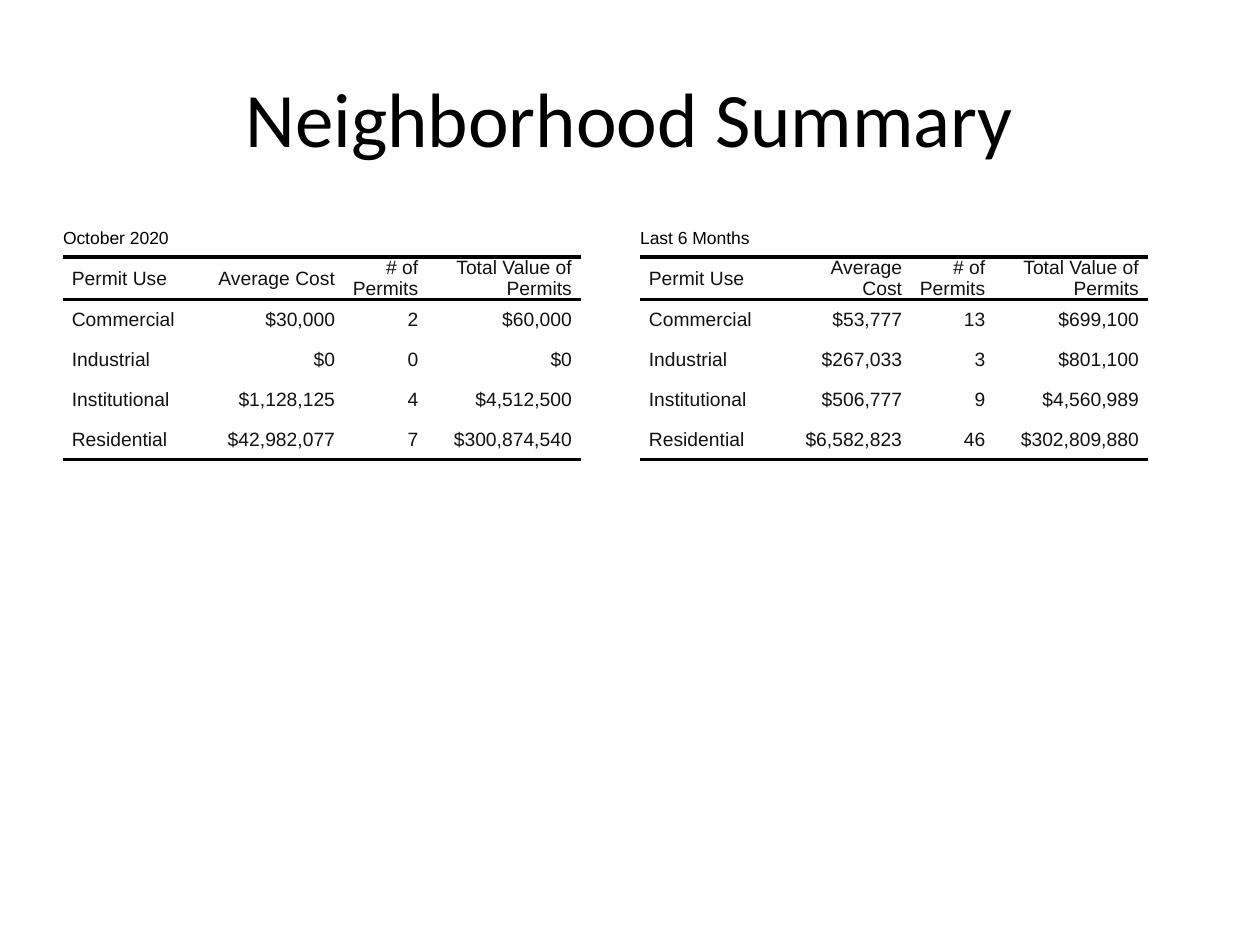
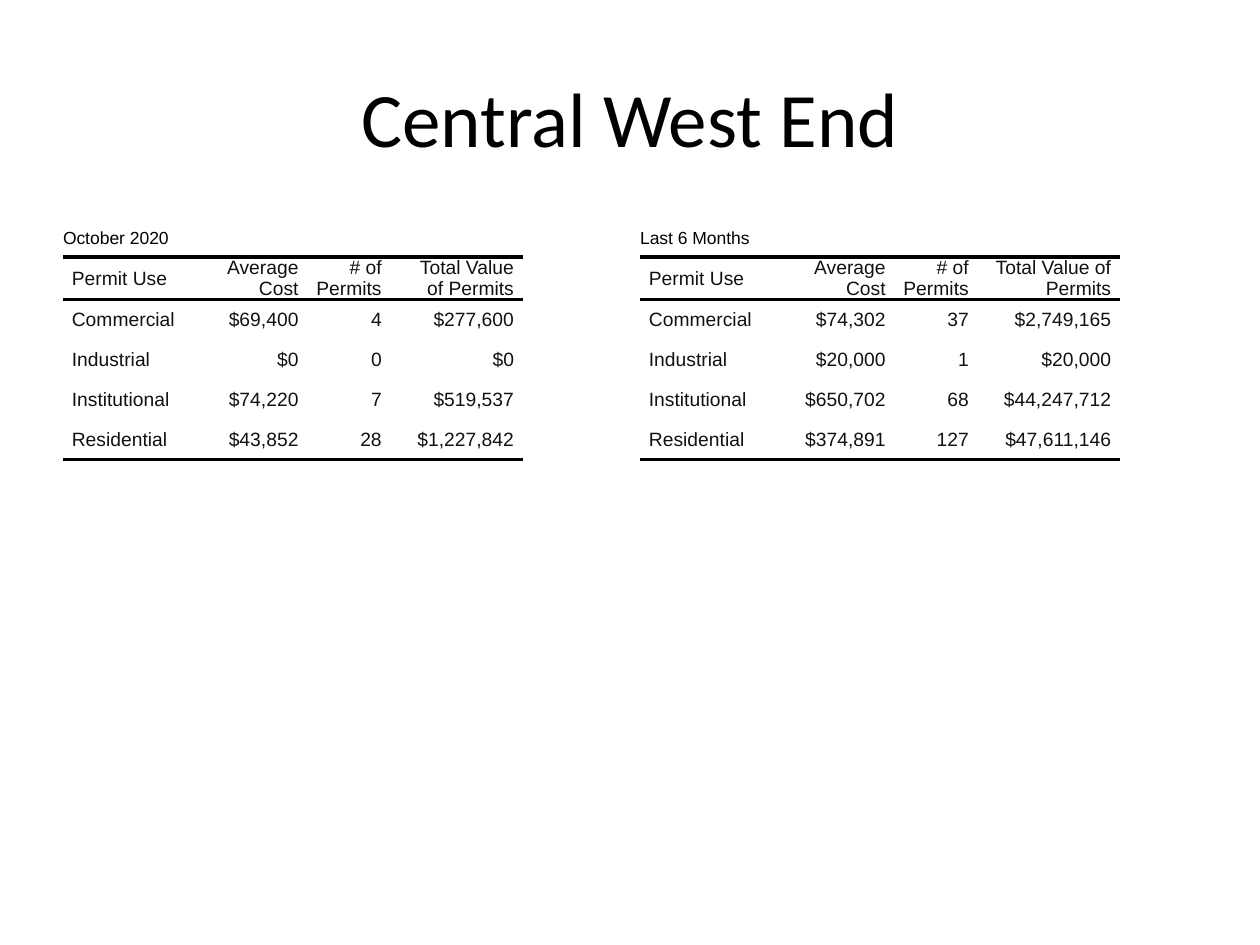
from pptx import Presentation
from pptx.dml.color import RGBColor
from pptx.enum.text import MSO_ANCHOR as Anchor, PP_ALIGN as Align
from pptx.oxml.ns import qn
from pptx.util import Inches, Pt
from lxml.etree import SubElement

BLACK = RGBColor(0x00, 0x00, 0x00)
INK = RGBColor(0x11, 0x11, 0x11)
TITLE_FONT, TABLE_FONT = "Calibri", "Arial"
PLAIN_TABLE_STYLE = "{2D5ABB26-0587-4C30-8999-92F81FD0307C}"

HEADINGS = ["Permit Use", "Average Cost", "# of Permits", "Total Value of Permits"]
PERMIT_USES = ["Commercial", "Industrial", "Institutional", "Residential"]
ROW_HEIGHTS = [0.29, 0.29, 0.32, 0.31, 0.32, 0.32]
USE_WIDTH, COUNT_WIDTH = 1.1, 0.66
PERIODS = [("October 2020", 0.5), ("Last 6 Months", 5.08)]

# Per slide: title, then for each period the cost and value column widths and the figures
SUMMARIES = [
    ("Neighborhood Summary", [
        (1.13, 1.22, [("$30,000", "2", "$60,000"),
                      ("$0", "0", "$0"),
                      ("$1,128,125", "4", "$4,512,500"),
                      ("$42,982,077", "7", "$300,874,540")]),
        (1.05, 1.22, [("$53,777", "13", "$699,100"),
                      ("$267,033", "3", "$801,100"),
                      ("$506,777", "9", "$4,560,989"),
                      ("$6,582,823", "46", "$302,809,880")]),
    ]),
    ("Central West End", [
        (0.84, 1.05, [("$69,400", "4", "$277,600"),
                      ("$0", "0", "$0"),
                      ("$74,220", "7", "$519,537"),
                      ("$43,852", "28", "$1,227,842")]),
        (0.92, 1.13, [("$74,302", "37", "$2,749,165"),
                      ("$20,000", "1", "$20,000"),
                      ("$650,702", "68", "$44,247,712"),
                      ("$374,891", "127", "$47,611,146")]),
    ]),
]


class PermitDeck:
    def __init__(self):
        self.prs = Presentation()
        self.prs.slide_width, self.prs.slide_height = Inches(10), Inches(7.5)
        self.slide = None

    def style_text(self, paragraph, font, size, color, align):
        paragraph.alignment = align
        for run in paragraph.runs:
            run.font.name, run.font.size = font, Pt(size)
            run.font.color.rgb = color

    def add_slide(self, heading):
        self.slide = self.prs.slides.add_slide(self.prs.slide_layouts[5])
        title = self.slide.shapes.title
        title.left, title.top = Inches(0.5), Inches(0.3)
        title.width, title.height = Inches(9), Inches(1.25)
        title.text_frame.text = heading
        title.text_frame.vertical_anchor = Anchor.MIDDLE
        self.style_text(title.text_frame.paragraphs[0], TITLE_FONT, 44, BLACK, Align.CENTER)

    def add_rule(self, cell, side):
        rule = SubElement(cell._tc.get_or_add_tcPr(), qn(f"a:{side}"), w=str(Pt(2)))
        fill = SubElement(rule, qn("a:solidFill"))
        SubElement(fill, qn("a:srgbClr"), val=str(BLACK))

    def fill_cell(self, cell, text, size, color, align=Align.LEFT, indent=0):
        cell.margin_left = cell.margin_right = cell.margin_top = cell.margin_bottom = 0
        cell.vertical_anchor = Anchor.MIDDLE
        cell.text_frame.text = text
        paragraph = cell.text_frame.paragraphs[0]
        properties = paragraph._p.get_or_add_pPr()
        for side in ("marL", "marR"):
            properties.set(side, str(Inches(indent)))
        self.style_text(paragraph, TABLE_FONT, size, color, align)

    def add_permit_table(self, period, left, widths, rows):
        frame = self.slide.shapes.add_table(
            len(ROW_HEIGHTS), len(widths), Inches(left), Inches(1.75), Inches(4.42), Inches(4.95))
        table = frame.table
        table.first_row = table.horz_banding = False
        table._tbl.tblPr.find(qn("a:tableStyleId")).text = PLAIN_TABLE_STYLE
        for column, width in zip(table.columns, widths):
            column.width = Inches(width)
        for row, height in zip(table.rows, ROW_HEIGHTS):
            row.height = Inches(height)
        frame.width, frame.height = Inches(4.42), Inches(4.95)

        # Period caption across the top
        table.cell(0, 0).merge(table.cell(0, len(widths) - 1))
        self.fill_cell(table.cell(0, 0), period, 10, BLACK)

        # Headings and figures, ruled around the headings and below the last row
        for r, values in enumerate(rows, 1):
            for c, value in enumerate(values):
                cell = table.cell(r, c)
                align = Align.RIGHT if c else Align.LEFT
                self.fill_cell(cell, value, 11, INK, align, indent=0.07)
                if r == 1:
                    self.add_rule(cell, "lnT")
                if r in (1, len(rows)):
                    self.add_rule(cell, "lnB")
        for cell in table.iter_cells():
            cell.fill.background()


def main():
    deck = PermitDeck()
    for heading, summaries in SUMMARIES:
        deck.add_slide(heading)
        for (period, left), (cost_width, value_width, figures) in zip(PERIODS, summaries):
            widths = [USE_WIDTH, cost_width, COUNT_WIDTH, value_width]
            rows = [HEADINGS] + [[use, *values] for use, values in zip(PERMIT_USES, figures)]
            deck.add_permit_table(period, left, widths, rows)
    deck.prs.save("out.pptx")


if __name__ == "__main__":
    main()
